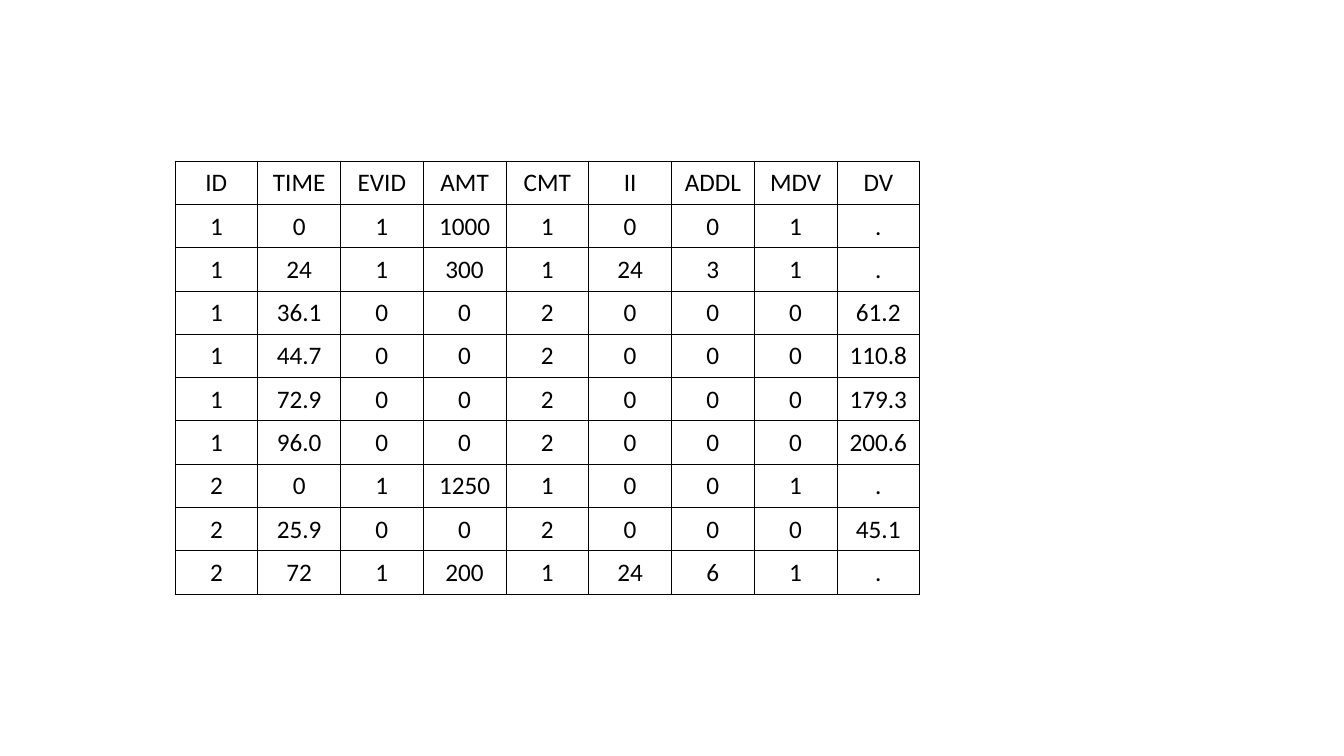
from lxml import etree
from pptx import Presentation
from pptx.dml.color import RGBColor
from pptx.enum.text import MSO_ANCHOR, PP_ALIGN
from pptx.oxml.ns import qn
from pptx.util import Pt

MIDDLE = MSO_ANCHOR.MIDDLE
CENTER = PP_ALIGN.CENTER
SCALE = 914400 / 100.8
BLANK = 6

HEAD = ["ID", "TIME", "EVID", "AMT", "CMT", "II", "ADDL", "MDV", "DV"]
EVENTS = [
    "1 0 1 1000 1 0 0 1 .",
    "1 24 1 300 1 24 3 1 .",
    "1 36.1 0 0 2 0 0 0 61.2",
    "1 44.7 0 0 2 0 0 0 110.8",
    "1 72.9 0 0 2 0 0 0 179.3",
    "1 96.0 0 0 2 0 0 0 200.6",
    "2 0 1 1250 1 0 0 1 .",
    "2 25.9 0 0 2 0 0 0 45.1",
    "2 72 1 200 1 24 6 1 .",
]


def px(n):
    """Turn pixels into EMU."""
    return round(n * SCALE)


def color(code):
    """Turn a hex string into a colour."""
    return RGBColor.from_string(code)


class Page:
    """Hold the style and the current slide."""

    font = "Calibri"
    size = Pt(18)
    ink = "000000"
    rule = Pt(0.5)

    def __init__(self, slide):
        """Keep the slide to draw on."""
        self.slide = slide

    def table(self, rows, left, top, width, height):
        """Add a ruled table with equal rows and equal columns."""
        frame = self.slide.shapes.add_table(
            len(rows), len(rows[0]), px(left), px(top), px(width), px(height))
        grid = frame.table
        grid.first_row = grid.horz_banding = False
        for r, row in enumerate(rows):
            for c, text in enumerate(row):
                self.cell(grid.cell(r, c), text)

    def cell(self, cell, text):
        """Write centred text in a cell and rule its edges."""
        cell.margin_left = cell.margin_right = cell.margin_top = px(1)
        cell.margin_bottom = 0
        cell.vertical_anchor = MIDDLE
        self.edges(cell)
        cell.fill.background()
        para = cell.text_frame.paragraphs[0]
        para.text = text
        para.alignment = CENTER
        font = para.runs[0].font
        font.name, font.size, font.bold = self.font, self.size, False
        font.color.rgb = color(self.ink)

    def edges(self, cell):
        """Draw the four borders of a cell."""
        props = cell._tc.get_or_add_tcPr()
        for side in ("lnL", "lnR", "lnT", "lnB"):
            line = etree.SubElement(props, qn("a:" + side), w=str(self.rule))
            fill = etree.SubElement(line, qn("a:solidFill"))
            etree.SubElement(fill, qn("a:srgbClr"), val=self.ink)


def main():
    """Build the slide and save it."""
    deck = Presentation()
    deck.slide_width, deck.slide_height = px(1344), px(756)
    page = Page(deck.slides.add_slide(deck.slide_layouts[BLANK]))
    rows = [HEAD] + [event.split() for event in EVENTS]
    page.table(rows, 175, 161, 745, 433)
    deck.save("out.pptx")


main()
